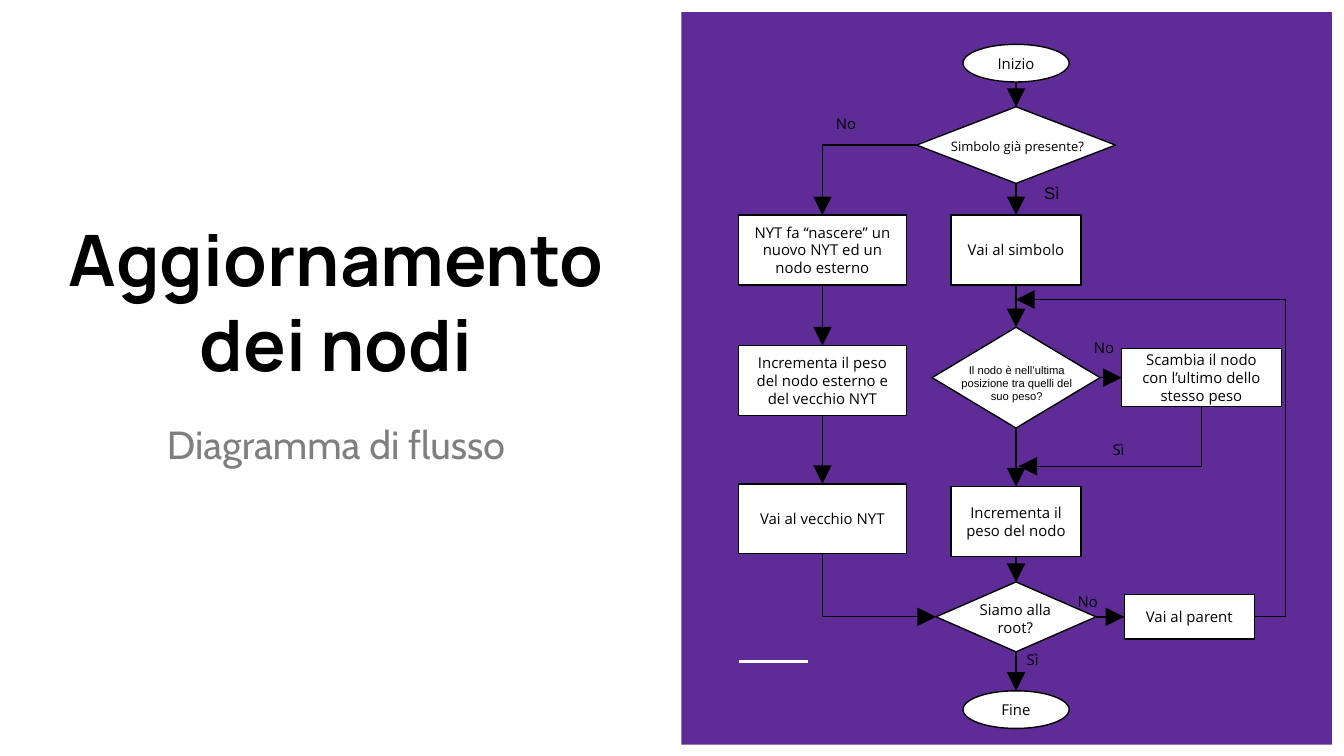
from dataclasses import dataclass

from pptx import Presentation
from pptx.dml.color import RGBColor
from pptx.enum import shapes, text
from pptx.oxml.ns import qn
from pptx.util import Inches, Pt

SHAPE = shapes.MSO_SHAPE
LINE = shapes.MSO_CONNECTOR
ALIGN = text.PP_ALIGN
ANCHOR = text.MSO_ANCHOR
TOP, LEFT, BOTTOM, RIGHT = range(4)  # connection sites


@dataclass(frozen=True)
class Theme:
    purple: RGBColor = RGBColor(0x5E, 0x2B, 0x97)
    white: RGBColor = RGBColor(0xFF, 0xFF, 0xFF)
    black: RGBColor = RGBColor(0, 0, 0)
    grey: RGBColor = RGBColor(0x7F, 0x7F, 0x7F)
    title_font: str = "Manrope"
    subtitle_font: str = "Cabin"
    body_font: str = "Open Sans"
    plain_font: str = "Arial"
    title_size: float = 38
    subtitle_size: float = 21
    node_size: float = 8
    question_size: float = 7
    small_size: float = 6
    yes_size: float = 9
    outline: float = 0.75
    accent: float = 1.5
    inset: float = 0.1


T = Theme()


def write(sp, words, font=T.body_font, size=T.node_size, color=T.black,
          align=ALIGN.CENTER, anchor=ANCHOR.TOP, bold=False):
    tf = sp.text_frame
    tf.text = words
    tf.word_wrap = True
    tf.auto_size = text.MSO_AUTO_SIZE.NONE
    tf.vertical_anchor = anchor
    tf.margin_left = tf.margin_right = Inches(T.inset)
    tf.margin_top = tf.margin_bottom = Inches(T.inset)
    for p in tf.paragraphs:
        p.alignment = align
        p.line_spacing = 1.0
        p.space_before = Pt(0)
        for r in p.runs:
            r.font.name, r.font.size, r.font.bold = font, Pt(size), bold
            r.font.color.rgb = color


def add_panel(s, box):
    x, y, w, h = box
    sp = s.shapes.add_shape(SHAPE.RECTANGLE, *map(Inches, box))
    sp.shadow.inherit = False
    sp.fill.solid()
    sp.fill.fore_color.rgb = T.purple
    sp.line.fill.background()
    add_line(s, (x + 0.43, y + 4.83), (x + 0.94, y + 4.83),
             color=T.white, width=T.accent)


def add_heading(s, box):
    x, y, w, h = box
    title, subtitle = s.placeholders
    for sp, top, height in ((title, y, 1.68), (subtitle, y + 1.74, 1.47)):
        sp.left, sp.top = Inches(x), Inches(top)
        sp.width, sp.height = Inches(w), Inches(height)
    write(title, "Aggiornamento dei nodi", T.title_font, T.title_size,
          anchor=ANCHOR.BOTTOM, bold=True)
    write(subtitle, "Diagramma di flusso", T.subtitle_font, T.subtitle_size,
          T.grey)


def add_node(s, kind, cx, cy, w, h, words=""):
    """Place a flowchart node by its centre."""
    sp = s.shapes.add_shape(kind, Inches(cx - w / 2), Inches(cy - h / 2),
                            Inches(w), Inches(h))
    sp.shadow.inherit = False
    sp.fill.solid()
    sp.fill.fore_color.rgb = T.white
    sp.line.color.rgb = T.black
    sp.line.width = Pt(T.outline)
    if words:
        write(sp, words, anchor=ANCHOR.MIDDLE)
    return sp


def add_label(s, x, y, w, h, words, **style):
    sp = s.shapes.add_textbox(*map(Inches, (x, y, w, h)))
    write(sp, words, **style)


def add_line(s, start, end, arrow=None, bend=None, adjust=None,
             color=T.black, width=T.outline):
    """Join two ends, each an (x, y) point or a (shape, site) pair."""
    glued = [not isinstance(e[0], (int, float)) for e in (start, end)]
    points = [(0, 0) if g else tuple(map(Inches, e))
              for e, g in zip((start, end), glued)]
    c = s.shapes.add_connector(LINE.ELBOW if bend else LINE.STRAIGHT,
                               *points[0], *points[1])
    if glued[0]:
        c.begin_connect(*start)
    if glued[1]:
        c.end_connect(*end)
    c.line.color.rgb = color
    c.line.width = Pt(width)
    props = c.element.spPr
    if arrow:
        ln = props.find(qn("a:ln"))
        tip = ln.makeelement(qn(f"a:{arrow}"), {"type": "triangle", "w": "lg", "len": "lg"})
        ln.append(tip)
    if bend:
        geom = props.find(qn("a:prstGeom"))
        geom.set("prst", bend)
        if adjust is not None:
            guide = geom.makeelement(qn("a:gd"), {"name": "adj1", "fmla": f"val {adjust}"})
            geom.find(qn("a:avLst")).append(guide)
    props.append(props.makeelement(qn("a:effectLst"), {}))


def add_flowchart(s, box):
    x, y, w, h = box
    side, main = x + 1.05, x + 2.49

    def node(kind, cx, cy, *rest):
        return add_node(s, kind, cx, y + cy, *rest)

    node(SHAPE.OVAL, main, 0.38, 0.79, 0.28, "Inizio")
    known = node(SHAPE.DIAMOND, main, 0.99, 1.48, 0.57)
    birth, weigh, old = [
        node(SHAPE.RECTANGLE, side, cy, 1.25, 0.52, words) for cy, words in (
            (1.77, "NYT fa “nascere” un nuovo NYT ed un nodo esterno"),
            (2.74, "Incrementa il peso del nodo esterno e del vecchio NYT"),
            (3.77, "Vai al vecchio NYT"))]
    symbol = node(SHAPE.RECTANGLE, main, 1.77, 0.97, 0.52, "Vai al simbolo")
    last = node(SHAPE.DIAMOND, main, 2.72, 1.25, 0.75)
    swap = node(SHAPE.RECTANGLE, x + 3.87, 2.72, 1.19, 0.43,
                "Scambia il nodo con l’ultimo dello stesso peso")
    increase = node(SHAPE.RECTANGLE, main, 3.79, 0.97, 0.52,
                    "Incrementa il peso del nodo")
    root = node(SHAPE.DIAMOND, main, 4.5, 1.19, 0.52)
    parent = node(SHAPE.RECTANGLE, x + 3.78, 4.5, 0.97, 0.33, "Vai al parent")
    end = node(SHAPE.OVAL, main, 5.19, 0.79, 0.28, "Fine")

    add_line(s, (main, y + 0.52), (known, TOP), "tailEnd")
    for a, b in ((known, symbol), (symbol, last), (last, increase),
                 (increase, root), (root, end), (birth, weigh), (weigh, old)):
        add_line(s, (a, BOTTOM), (b, TOP), "tailEnd")
    for a, b in ((last, swap), (root, parent)):
        add_line(s, (a, RIGHT), (b, LEFT), "tailEnd")
    add_line(s, (known, LEFT), (birth, TOP), "tailEnd", "bentConnector2")
    add_line(s, (root, LEFT), (old, BOTTOM), "headEnd", "bentConnector2")
    add_line(s, (main + 0.02, y + 3.38), (swap, BOTTOM), "headEnd",
             "bentConnector3", 100000)
    add_line(s, (parent, RIGHT), (main, y + 2.14), "tailEnd",
             "bentConnector3", -13000)

    add_label(s, x + 1.76, y + 0.84, 1.48, 0.31, "Simbolo già presente?",
              size=T.question_size)
    add_label(s, x + 1.97, y + 2.51, 1.05, 0.43,
              "Il nodo è nell’ultima posizione tra quelli del suo peso?",
              font=T.plain_font, size=T.small_size)
    add_label(s, x + 2.0, y + 4.28, 0.97, 0.52, "Siamo alla\nroot?")
    add_label(s, x + 2.6, y + 1.17, 0.37, 0.24, "Sì", font=T.plain_font,
              size=T.yes_size, align=ALIGN.LEFT)
    for dx, dy, width, height, words in (
            (1.05, 0.68, 0.59, 0.17, "No"), (2.97, 2.33, 0.41, 0.31, "No"),
            (3.11, 3.09, 0.46, 0.33, "Sì"), (2.85, 4.22, 0.46, 0.31, "No"),
            (2.47, 4.65, 0.31, 0.28, "Sì")):
        add_label(s, x + dx, y + dy, width, height, words, align=ALIGN.LEFT)


def main():
    prs = Presentation()
    prs.slide_width = Inches(10)
    prs.slide_height = prs.slide_width * 9 // 16
    s = prs.slides.add_slide(prs.slide_layouts[0])
    panel = (5.07, 0.09, 4.84, 5.45)
    add_panel(s, panel)
    add_heading(s, (0.29, 1.29, 4.42, 3.21))
    add_flowchart(s, panel)
    prs.save("out.pptx")


if __name__ == "__main__":
    main()
